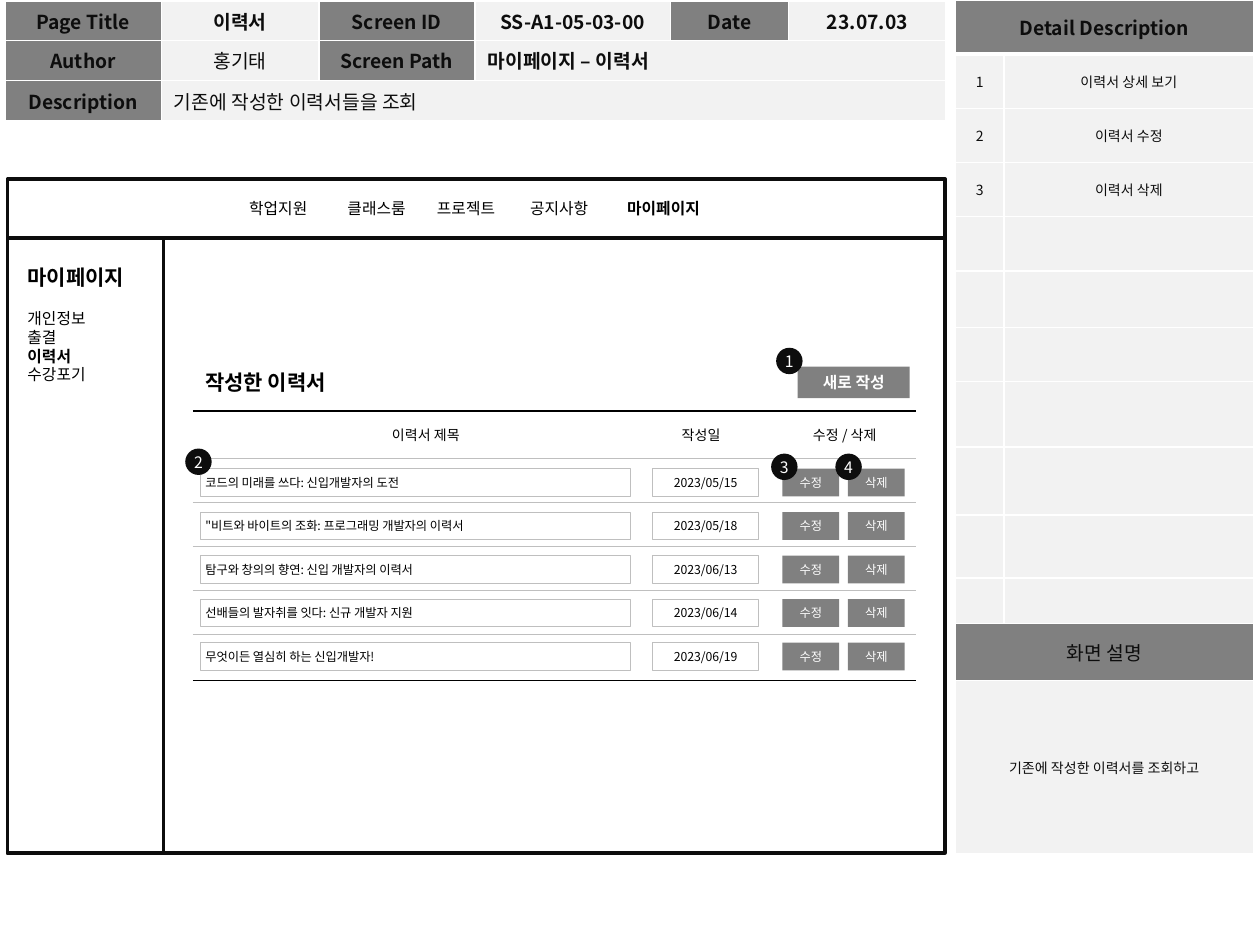
from pptx import Presentation
from pptx.dml.color import RGBColor
from pptx.enum.shapes import MSO_CONNECTOR, MSO_SHAPE
from pptx.enum.text import MSO_ANCHOR, PP_ALIGN
from pptx.oxml.ns import qn
from pptx.util import Inches, Pt
from lxml import etree

STRAIGHT = MSO_CONNECTOR.STRAIGHT
RECTANGLE, OVAL = MSO_SHAPE.RECTANGLE, MSO_SHAPE.OVAL
TOP, MIDDLE = MSO_ANCHOR.TOP, MSO_ANCHOR.MIDDLE
LEFT, CENTER = PP_ALIGN.LEFT, PP_ALIGN.CENTER

BLACK = RGBColor(0x00, 0x00, 0x00)
INK = RGBColor(0x0D, 0x0D, 0x0D)
GRAY = RGBColor(0x80, 0x80, 0x80)
SILVER = RGBColor(0xBF, 0xBF, 0xBF)
PALE = RGBColor(0xF2, 0xF2, 0xF2)
WHITE = RGBColor(0xFF, 0xFF, 0xFF)

COLUMNS, ROWS = 100, 75


class Wireframe:
    font = "Noto Sans CJK KR"

    def __init__(self, deck):
        self.deck = deck
        self.slide = deck.slides.add_slide(deck.slide_layouts[6])
        self.shapes = self.slide.shapes

    def x(self, columns):
        return round(self.deck.slide_width * columns / COLUMNS)

    def y(self, rows):
        return round(self.deck.slide_height * rows / ROWS)

    def place(self, area):
        left, top, width, height = area
        return self.x(left), self.y(top), self.x(width), self.y(height)

    def style_span(self, span, size, color, bold):
        span.font.name = self.font
        span.font.size = Pt(size)
        span.font.bold = bold
        span.font.color.rgb = color
        east_asian = etree.SubElement(span._r.get_or_add_rPr(), qn("a:ea"))
        east_asian.set("typeface", self.font)

    def style(self, para, size, color, bold=False, align=CENTER):
        para.alignment = align
        for span in para.runs:
            self.style_span(span, size, color, bold)

    def set_text(self, frame, text, size, color, bold=False, align=CENTER, margin=0.1):
        frame.word_wrap = True
        frame.vertical_anchor = MIDDLE
        frame.margin_left = frame.margin_right = Inches(margin)
        frame.margin_top = frame.margin_bottom = 0
        frame.text = text
        self.style(frame.paragraphs[0], size, color, bold, align)

    def label(self, area, text, size, bold=False, align=CENTER):
        box = self.shapes.add_textbox(*self.place(area))
        self.set_text(box.text_frame, text, size, BLACK, bold, align)
        return box

    def shape(self, area, kind=RECTANGLE, fill=None, line=None, weight=0.5):
        box = self.shapes.add_shape(kind, *self.place(area))
        box.shadow.inherit = False
        if fill is None:
            box.fill.background()
        else:
            box.fill.solid()
            box.fill.fore_color.rgb = fill
        if line is None:
            box.line.fill.background()
        else:
            box.line.color.rgb = line
            box.line.width = Pt(weight)
        return box

    def button(self, area, text, size=7, bold=False):
        box = self.shape(area, fill=GRAY)
        self.set_text(box.text_frame, text, size, WHITE, bold)

    def field(self, area, text, align):
        box = self.shape(area, line=SILVER)
        self.set_text(box.text_frame, text, 7, BLACK, align=align, margin=0.04)

    def badge(self, left, top, text):
        box = self.shape((left, top, 2.1, 2.1), OVAL, fill=INK)
        self.set_text(box.text_frame, text, 9, WHITE, margin=0)

    def rule(self, top, color, weight):
        line = self.shapes.add_connector(
            STRAIGHT, self.x(15.3), self.y(top), self.x(72.7), self.y(top))
        line.line.color.rgb = color
        line.line.width = Pt(weight)
        etree.SubElement(line._element.spPr, qn("a:effectLst"))

    def menu(self, area, items, stops):
        box = self.label(area, "\t".join(items[:-1]) + "\t", 9, align=LEFT)
        para = box.text_frame.paragraphs[0]
        tabs = etree.SubElement(para._p.get_or_add_pPr(), qn("a:tabLst"))
        for stop in stops:
            etree.SubElement(tabs, qn("a:tab"), pos=str(self.x(stop)), algn="l")
        current = para.add_run()
        current.text = items[-1]
        self.style_span(current, 9, BLACK, True)

    def sidebar(self, area, title, items, selected):
        box = self.label(area, title, 12, True, LEFT)
        frame = box.text_frame
        frame.vertical_anchor = TOP
        frame.margin_top = Inches(0.05)
        frame.paragraphs[0].line_spacing = Pt(14.4)
        for item in items:
            para = frame.add_paragraph()
            para.text = item
            para.line_spacing = Pt(10.8)
            self.style(para, 9, BLACK, item == selected, LEFT)
        frame.paragraphs[1].space_before = Pt(10.8)

    def table(self, area, widths, heights):
        graphic = self.shapes.add_table(len(heights), len(widths), *self.place(area))
        table = graphic.table
        table.first_row = table.horz_banding = False
        for column, width in zip(table.columns, widths):
            column.width = self.x(width)
        for row, height in zip(table.rows, heights):
            row.height = self.y(height)
        return table

    def cell(self, cell, text, fill, size, bold=False, align=CENTER, bottom=1):
        properties = cell._tc.get_or_add_tcPr()
        for side in ("lnL", "lnR", "lnT", "lnB"):
            weight = bottom if side == "lnB" else 1
            border = etree.SubElement(properties, qn("a:" + side), w=str(Pt(weight)))
            solid = etree.SubElement(border, qn("a:solidFill"))
            etree.SubElement(solid, qn("a:srgbClr"), val=str(WHITE))
        cell.fill.solid()
        cell.fill.fore_color.rgb = fill
        cell.vertical_anchor = MIDDLE
        cell.margin_top = cell.margin_bottom = Inches(0.04)
        para = cell.text_frame.paragraphs[0]
        if text:
            para.text = text
            self.style(para, size, INK, bold, align)
        else:
            para._p.get_or_add_endParaRPr().set("sz", str(size * 100))


def add_page_header(page):
    rows = [
        ["Page Title", "이력서", "Screen ID", "SS-A1-05-03-00", "Date", "23.07.03"],
        ["Author", "홍기태", "Screen Path", "마이페이지 – 이력서"],
        ["Description", "기존에 작성한 이력서들을 조회"],
    ]
    plain = ("홍기태", "기존에 작성한 이력서들을 조회")
    table = page.table((0.4, 0.1, 74.7, 9.5),
                       [12.4, 12.5, 12.4, 15.5, 9.4, 12.5], [3.1, 3.2, 3.2])
    for r, texts in enumerate(rows):
        last = len(texts) - 1
        if last < 5:
            table.cell(r, last).merge(table.cell(r, 5))
        for c, text in enumerate(texts):
            align = LEFT if c == last < 5 else CENTER
            page.cell(table.cell(r, c), text, PALE if c % 2 else GRAY, 11,
                      text not in plain, align)


def add_detail_panel(page):
    details = ["이력서 상세 보기", "이력서 수정", "이력서 삭제"]
    sections = {0: ("Detail Description", GRAY, 11, True, CENTER, 3),
                11: ("화면 설명", GRAY, 11),
                12: ("기존에 작성한 이력서를 조회하고", PALE, 8)}
    heights = [4.3] * 5 + [4.5, 4.3, 5.2, 5.4, 5, 3.6, 4.5, 13.8]
    table = page.table((75.8, 0, 23.7, sum(heights)), [3.9, 19.8], heights)
    for r in range(len(heights)):
        if r in sections:
            table.cell(r, 0).merge(table.cell(r, 1))
            page.cell(table.cell(r, 0), *sections[r])
        else:
            filled = r <= len(details)
            texts = (str(r), details[r - 1]) if filled else ("", "")
            for c, text in enumerate(texts):
                page.cell(table.cell(r, c), text, PALE, 8)


def add_resume_list(page):
    resumes = [
        ("코드의 미래를 쓰다: 신입개발자의 도전", "2023/05/15"),
        ("\"비트와 바이트의 조화: 프로그래밍 개발자의 이력서", "2023/05/18"),
        ("탐구와 창의의 향연: 신입 개발자의 이력서", "2023/06/13"),
        ("선배들의 발자취를 잇다: 신규 개발자 지원", "2023/06/14"),
        ("무엇이든 열심히 하는 신입개발자!", "2023/06/19"),
    ]
    page.label((15.3, 28.8, 12.7, 3), "작성한 이력서", 12, True, LEFT)
    page.button((63.3, 29.1, 8.9, 2.5), "새로 작성", 9, True)
    page.rule(32.6, BLACK, 1)
    for left, width, heading in ((24.7, 18.2, "이력서 제목"), (50.3, 10.7, "작성일"),
                                 (59.7, 14.7, "수정 / 삭제")):
        page.label((left, 33.3, width, 2.4), heading, 8)
    for index, (title, date) in enumerate(resumes):
        top = 37.2 + 3.45 * index
        page.rule(36.35 + 3.5 * index, SILVER, 0.5)
        page.field((15.9, top, 34.1, 2.2), title, LEFT)
        page.field((51.8, top, 8.4, 2.2), date, CENTER)
        page.button((62.1, top, 4.5, 2.2), "수정")
        page.button((67.3, top, 4.5, 2.2), "삭제")
    page.rule(54, BLACK, 1)
    for text, left, top in (("1", 61.6, 27.6), ("2", 14.7, 35.6),
                            ("3", 61.2, 36), ("4", 66.3, 36)):
        page.badge(left, top, text)


def main():
    deck = Presentation()
    deck.slide_width, deck.slide_height = Inches(10), Inches(7.5)
    page = Wireframe(deck)
    add_page_header(page)
    add_detail_panel(page)
    for frame in ((0.6, 18.9, 74.4, 48.8), (0.6, 14.2, 74.4, 4.7),
                  (0.6, 18.9, 12.4, 48.8)):
        page.shape(frame, line=INK, weight=2)
    page.sidebar((1.2, 20.5, 10.4, 10.6), "마이페이지",
                 ["개인정보", "출결", "이력서", "수강포기"], "이력서")
    add_resume_list(page)
    page.menu((18.8, 15.3, 43, 2.5),
              ["학업지원", "클래스룸", "프로젝트", "공지사항", "마이페이지"],
              [7.8, 14.9, 22.3, 30])
    deck.save("out.pptx")


if __name__ == "__main__":
    main()
